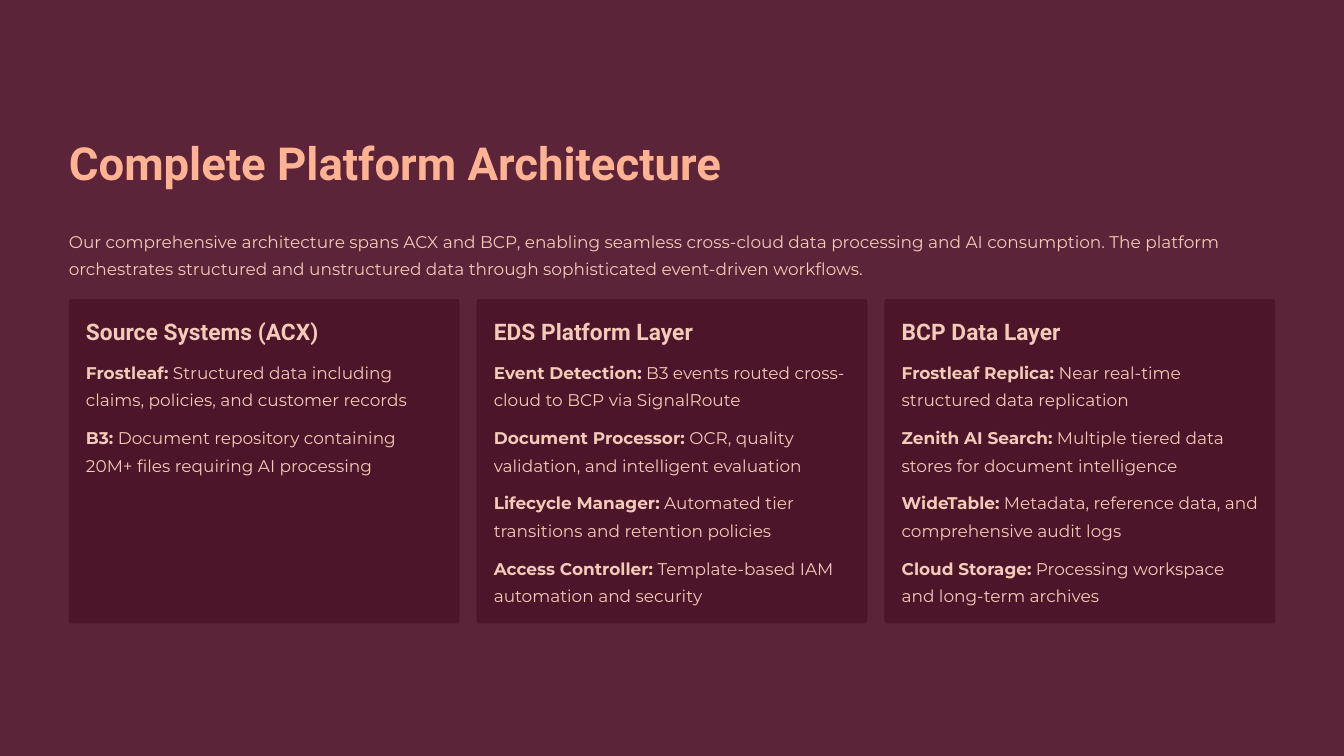
from pptx import Presentation
from pptx.dml.color import RGBColor
from pptx.enum.shapes import MSO_SHAPE
from pptx.enum.text import MSO_ANCHOR, MSO_AUTO_SIZE, PP_ALIGN
from pptx.util import Pt
from lxml.etree import SubElement
from pptx.oxml.ns import qn

PLUM, WINE, PEACH, BLUSH = "5C2438", "4D1529", "FFB393", "F4CAB8"
MARGIN, CONTENT_WIDTH, GAP = 59, 1034, 14.7

TITLE = "Complete Platform Architecture"
INTRO = (
    "Our comprehensive architecture spans ACX and BCP, enabling seamless "
    "cross-cloud data processing and AI consumption. The platform orchestrates "
    "structured and unstructured data through sophisticated event-driven workflows."
)
LAYERS = [
    ("Source Systems (ACX)", [
        ("Frostleaf:", "Structured data including claims, policies, and customer records"),
        ("B3:", "Document repository containing 20M+ files requiring AI processing"),
    ]),
    ("EDS Platform Layer", [
        ("Event Detection:", "B3 events routed cross-cloud to BCP via SignalRoute"),
        ("Document Processor:", "OCR, quality validation, and intelligent evaluation"),
        ("Lifecycle Manager:", "Automated tier transitions and retention policies"),
        ("Access Controller:", "Template-based IAM automation and security"),
    ]),
    ("BCP Data Layer", [
        ("Frostleaf Replica:", "Near real-time structured data replication"),
        ("Zenith AI Search:", "Multiple tiered data stores for document intelligence"),
        ("WideTable:", "Metadata, reference data, and comprehensive audit logs"),
        ("Cloud Storage:", "Processing workspace and long-term archives"),
    ]),
]


def color(hex_code):
    return RGBColor.from_string(hex_code)


def place(shape, left, top, width, height):
    shape.left, shape.top = Pt(left), Pt(top)
    shape.width, shape.height = Pt(width), Pt(height)


def prepare_frame(shape):
    frame = shape.text_frame
    frame.auto_size = MSO_AUTO_SIZE.NONE
    frame.word_wrap = True
    frame.vertical_anchor = MSO_ANCHOR.TOP
    frame.margin_left = frame.margin_right = frame.margin_top = frame.margin_bottom = 0
    return frame


def style(paragraph, font_name, size, line, hex_code, bold=None):
    paragraph.alignment = PP_ALIGN.LEFT
    paragraph.line_spacing = Pt(line)
    paragraph.space_before = paragraph.space_after = Pt(0)
    font = paragraph.font
    font.name, font.size, font.bold = font_name, Pt(size), bold
    font.color.rgb = color(hex_code)


def add_text_box(slide, left, top, width, height):
    return prepare_frame(
        slide.shapes.add_textbox(Pt(left), Pt(top), Pt(width), Pt(height)))


def add_header(slide, left, top, width):
    """Title with the introduction below it."""
    title = slide.shapes.title
    place(title, left, top, width, 49)
    heading = prepare_frame(title).paragraphs[0]
    heading.text = TITLE
    style(heading, "Roboto", 39, 49, PEACH, True)

    body = slide.placeholders[1]
    place(body, left, top + 78.4, width, 47)
    intro = prepare_frame(body).paragraphs[0]
    intro.text = INTRO
    style(intro, "Montserrat", 14.5, 23.5, BLUSH)
    # Plain paragraph: no bullet, no hanging indent
    properties = intro._p.get_or_add_pPr()
    properties.set("marL", "0")
    properties.set("indent", "0")
    bullet_off = SubElement(properties, qn("a:buNone"))
    properties.find(qn("a:defRPr")).addprevious(bullet_off)


def add_layer_card(slide, left, top, width, height, name, points):
    """Panel with a heading and labelled points."""
    panel = slide.shapes.add_shape(
        MSO_SHAPE.ROUNDED_RECTANGLE, Pt(left), Pt(top), Pt(width), Pt(height))
    panel.adjustments[0] = 0.008
    panel.shadow.inherit = False
    panel.fill.solid()
    panel.fill.fore_color.rgb = color(WINE)
    panel.line.fill.background()

    inner_left, inner_width = left + GAP, width - 2 * GAP
    heading = add_text_box(slide, inner_left, top + GAP, inner_width, 24.5).paragraphs[0]
    heading.text = name
    style(heading, "Roboto", 19.5, 24.5, BLUSH, True)

    # Labelled points, two lines each
    frame = add_text_box(slide, inner_left, top + 48.2, inner_width, height - 48.2 - GAP)
    for index, (label, detail) in enumerate(points):
        point = frame.paragraphs[0] if index == 0 else frame.add_paragraph()
        style(point, "Montserrat", 14.5, 23.5, BLUSH)
        if index:
            point.space_before = Pt(9)
        label_run = point.add_run()
        label_run.text = label
        label_run.font.bold = True
        point.add_run().text = " " + detail


def add_layers(slide, left, top, width, height):
    """Equal cards side by side."""
    card_width = (width - GAP * (len(LAYERS) - 1)) / len(LAYERS)
    for column, (name, points) in enumerate(LAYERS):
        card_left = left + column * (card_width + GAP)
        add_layer_card(slide, card_left, top, card_width, height, name, points)


def main():
    deck = Presentation()
    deck.slide_width, deck.slide_height = Pt(1152), Pt(648)
    slide = deck.slides.add_slide(deck.slide_layouts[1])
    slide.background.fill.solid()
    slide.background.fill.fore_color.rgb = color(PLUM)
    add_header(slide, MARGIN, 113.8, CONTENT_WIDTH)
    add_layers(slide, MARGIN, 256.3, CONTENT_WIDTH, 278)
    deck.save("out.pptx")


if __name__ == "__main__":
    main()
